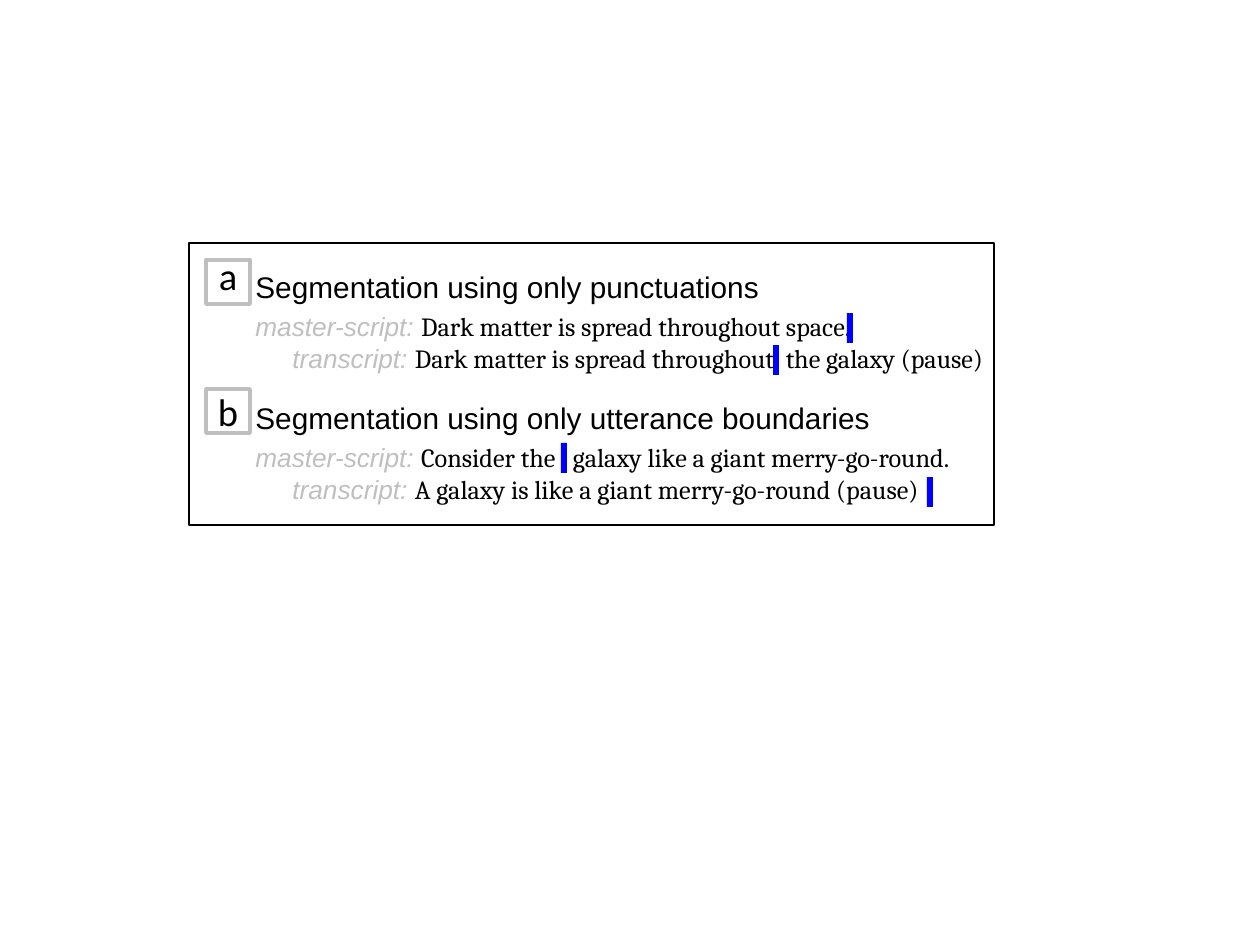
from dataclasses import dataclass
from pptx import Presentation
from pptx.dml.color import RGBColor
from pptx.enum.shapes import MSO_SHAPE
from pptx.enum.text import MSO_ANCHOR, PP_ALIGN
from pptx.util import Pt


@dataclass
class Theme:
    black: str = "000000"
    gray: str = "BFBFBF"
    blue: str = "0000FF"
    heading: int = 17
    body: int = 15
    label: int = 22


PX = 914400 / 126
theme = Theme()


def add_text(p, text, font="Cambria", size=theme.body, color=theme.black, italic=False, spacing=0):
    r = p.add_run()
    r.text = text
    r.font.name = font
    r.font.size = Pt(size)
    r.font.italic = italic
    r.font.color.rgb = RGBColor.from_string(color)
    if spacing:
        r.font._element.set("spc", str(spacing))


def add_box(shapes, x, y, w, h, fill=None, line=None, weight=0):
    sp = shapes.add_shape(MSO_SHAPE.RECTANGLE, *[round(v * PX) for v in (x, y, w, h)])
    sp.shadow.inherit = False
    if fill:
        sp.fill.solid()
        sp.fill.fore_color.rgb = RGBColor.from_string(fill)
    else:
        sp.fill.background()
    if line:
        sp.line.color.rgb = RGBColor.from_string(line)
        sp.line.width = Pt(weight)
    else:
        sp.line.fill.background()
    return sp


prs = Presentation()
prs.slide_width = round(1260 * PX)
prs.slide_height = round(945 * PX)
s = prs.slides.add_slide(prs.slide_layouts[6])
shapes = s.shapes.add_group_shape().shapes

sections = [
    ("a", 206, 260, MSO_ANCHOR.BOTTOM, 255, 761,
     "Segmentation using only punctuations",
     ["Dark matter is spread throughout space."],
     ["Dark matter is spread throughout", "the galaxy (pause)"],
     330, [(847, 313), (773, 345)]),
    ("b", 206, 389, MSO_ANCHOR.MIDDLE, 386, 728,
     "Segmentation using only utterance boundaries",
     ["Consider the", "galaxy like a giant merry-go-round."],
     ["A galaxy is like a giant merry-go-round (pause)"],
     660, [(561, 443), (927, 477)]),
]

for label, x, y, anchor, top, width, heading, script, transcript, gap, marks in sections:
    tb = shapes.add_textbox(*[round(v * PX) for v in (243, top, width, 129)])
    tf = tb.text_frame
    tf.word_wrap = True
    p = tf.paragraphs[0]
    p.line_spacing = 1.2
    add_text(p, heading, font="Arial", size=theme.heading)
    rows = [("master-script: ", script, 1.2, 0), ("transcript: ", transcript, 1.0, 37)]
    for name, parts, spacing, indent in rows:
        p = tf.add_paragraph()
        p.line_spacing = spacing
        p._p.get_or_add_pPr().set("marL", str(round(indent * PX)))
        add_text(p, name, font="Arial", color=theme.gray, italic=True)
        add_text(p, parts[0])
        for part in parts[1:]:
            add_text(p, " ", spacing=gap)
            add_text(p, part)

    for mark_x, mark_y in marks:
        add_box(shapes, mark_x, mark_y, 6, 30, fill=theme.blue)

    sp = add_box(shapes, x, y, 44, 44, line=theme.gray, weight=2.25)
    tf = sp.text_frame
    tf.margin_left = tf.margin_right = 0
    tf.vertical_anchor = anchor
    p = tf.paragraphs[0]
    p.alignment = PP_ALIGN.CENTER
    add_text(p, label, font="Calibri", size=theme.label)

add_box(shapes, 189, 243, 805, 282, line=theme.black, weight=0.75)

prs.save("out.pptx")
